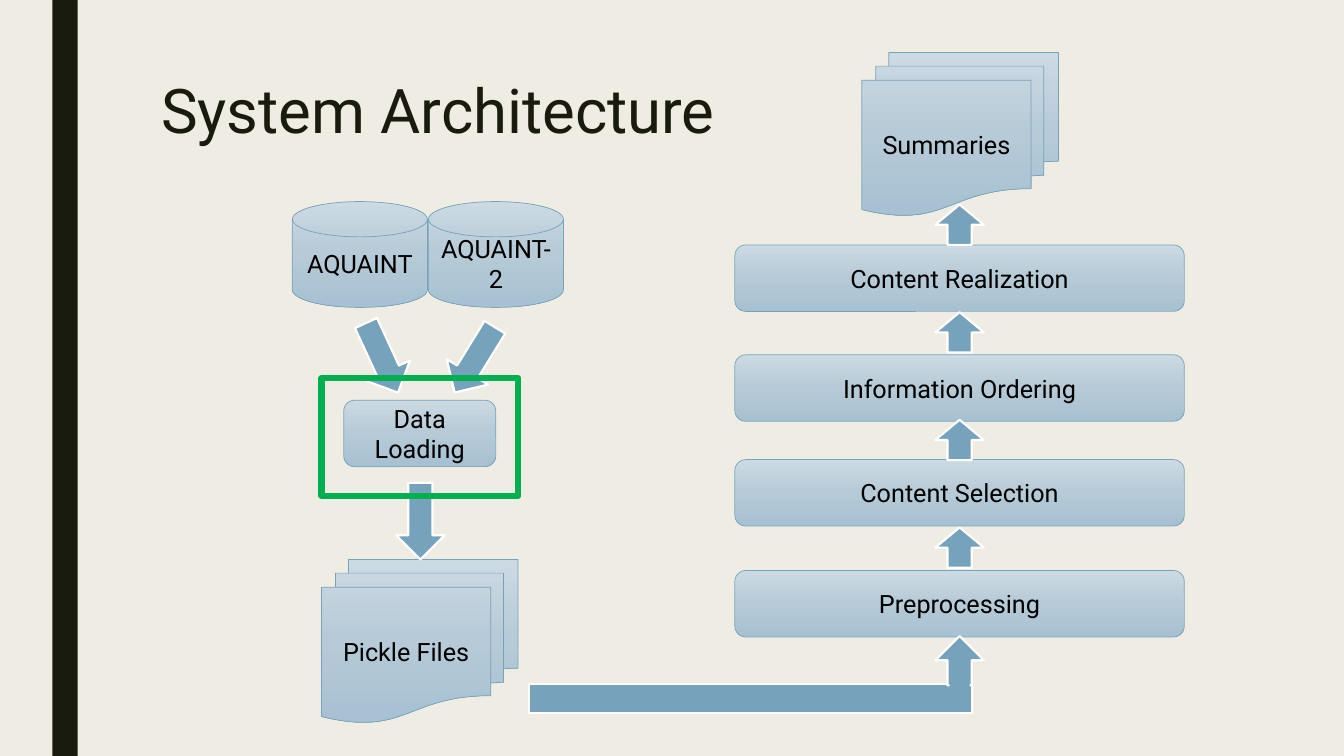
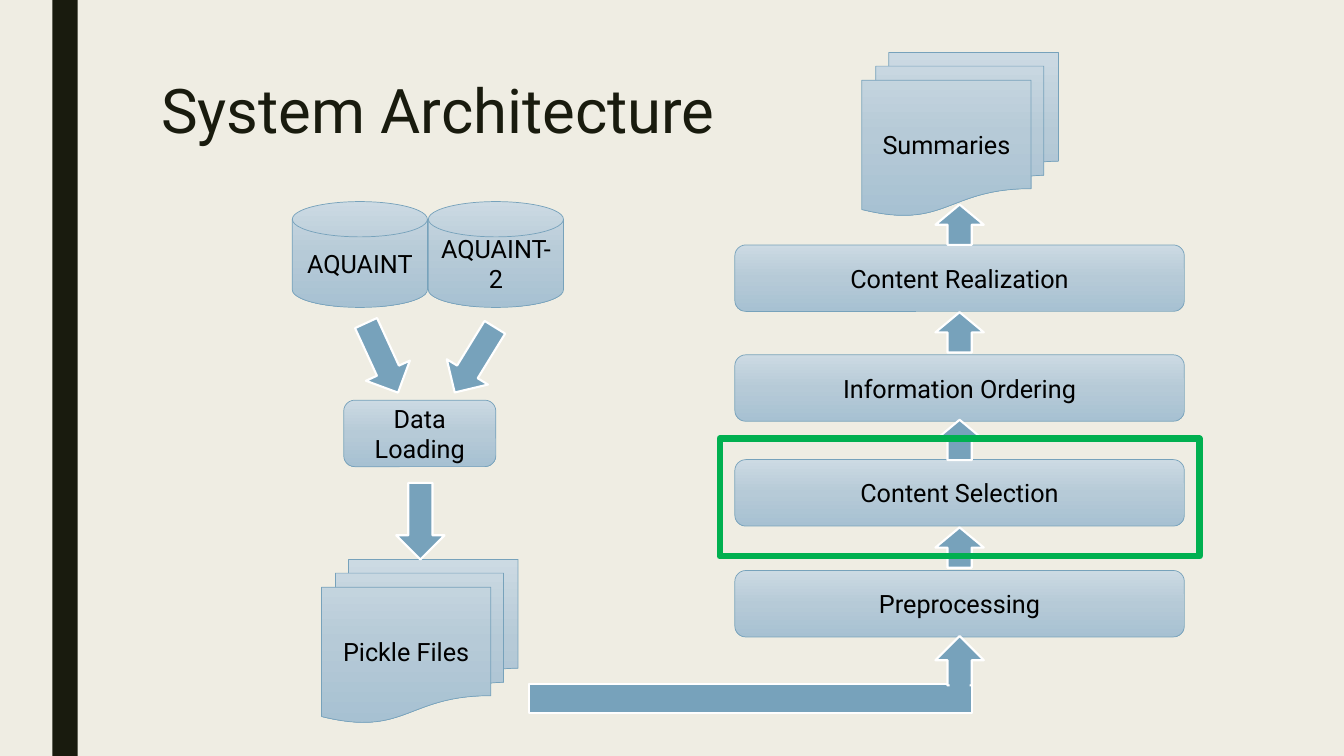
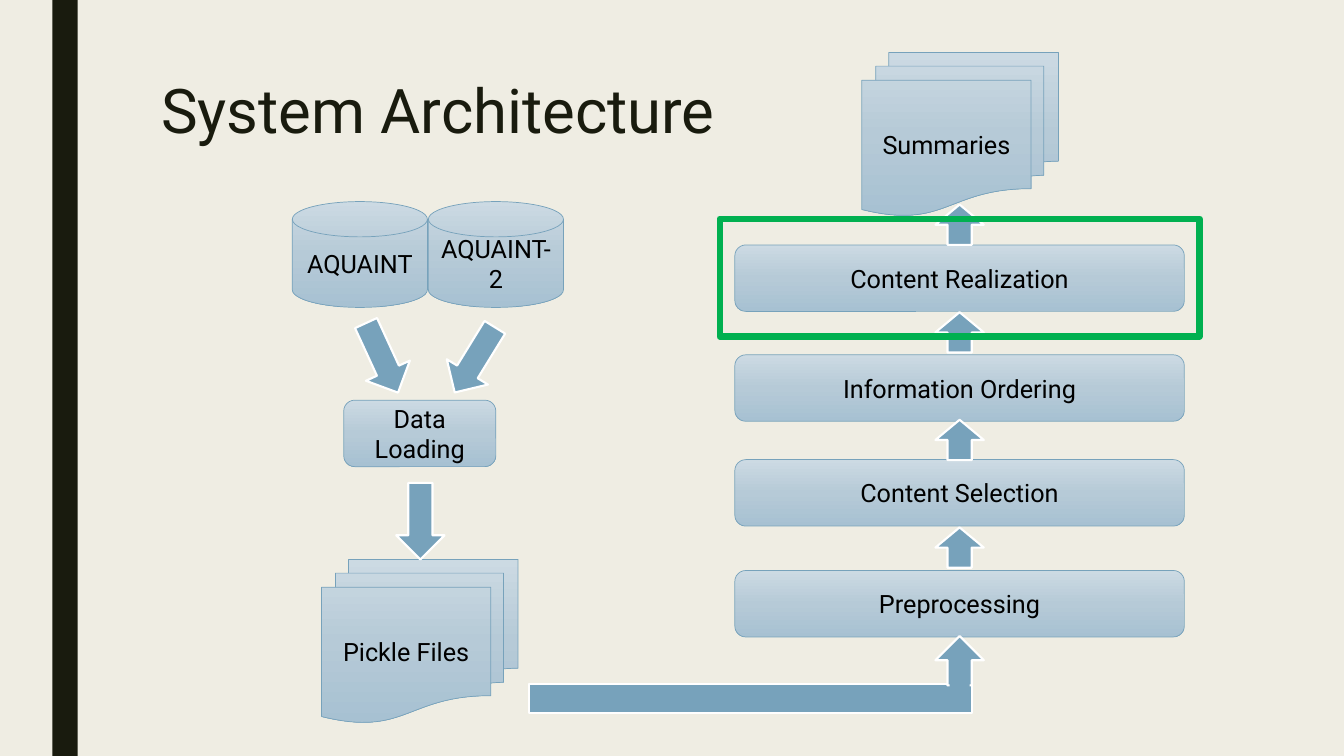
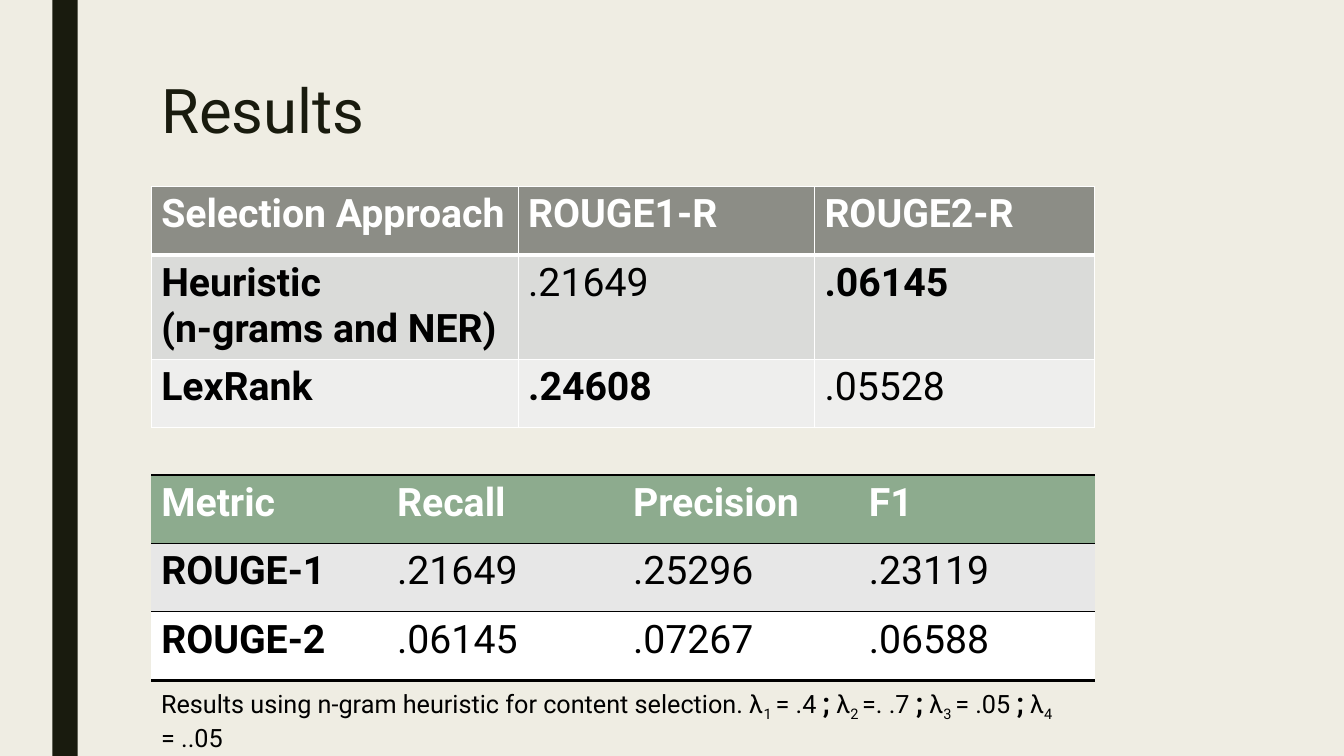
from copy import deepcopy

from pptx import Presentation
from pptx.dml.color import RGBColor
from pptx.enum.shapes import MSO_SHAPE
from pptx.enum.text import MSO_ANCHOR, PP_ALIGN
from pptx.oxml.ns import qn
from pptx.oxml.xmlchemy import OxmlElement
from pptx.util import Inches, Pt

# Shared style
FONT = "Roboto"
PAPER, INK, BLACK, WHITE = "EFEDE3", "191B0E", "000000", "FFFFFF"
STEEL, GREEN = "77A2BB", "00B050"
SHADES = ((0, "CCDAE3"), (0.5, "B6CAD7"), (1, "A7C1D2"))
COLUMNS, ROWS = 40, 30
PLAIN_TABLE = "{2D5ABB26-0587-4C30-8999-92F81FD0307C}"


def colour(code):
    return RGBColor.from_string(code)


class Slides:
    """Holds the deck, its grid and the slide being filled."""

    def __init__(self):
        self.deck = Presentation()
        self.deck.slide_width, self.deck.slide_height = Inches(13.33), Inches(7.5)
        self.column = self.deck.slide_width / COLUMNS
        self.row = self.deck.slide_height / ROWS
        backdrop = self.deck.slide_master.background.fill
        backdrop.solid()
        backdrop.fore_color.rgb = colour(PAPER)

    def place(self, left, top, width, height):
        return (int(left * self.column), int(top * self.row),
                int(width * self.column), int(height * self.row))

    def start(self, title):
        self.page = self.deck.slides.add_slide(self.deck.slide_layouts[6])
        self.shape(MSO_SHAPE.RECTANGLE, (1.56, 0, 0.75, ROWS), INK)
        frame = self.text((4.5, 3, 31.5, 6.48), [(title, {"size": 44, "ink": INK})])
        frame.paragraphs[0].line_spacing = 0.89

    def span(self, para, words, size=18, ink=BLACK, bold=False, baseline=0):
        span = para.add_run()
        span.text = words
        span.font.name, span.font.size, span.font.bold = FONT, Pt(size), bold
        span.font.color.rgb = colour(ink)
        if baseline:
            span.font._element.set("baseline", str(baseline * 1000))

    def text(self, area, spans):
        frame = self.page.shapes.add_textbox(*self.place(*area)).text_frame
        frame.word_wrap = True
        for words, style in spans:
            self.span(frame.paragraphs[0], words, **style)
        return frame

    def shape(self, kind, area, fill=None, line=None, points=0, turn=0):
        box = self.page.shapes.add_shape(kind, *self.place(*area))
        box.shadow.inherit = False
        box.rotation = turn
        if fill:
            box.fill.solid()
            box.fill.fore_color.rgb = colour(fill)
        else:
            box.fill.background()
        if line:
            box.line.color.rgb = colour(line)
            box.line.width = Pt(points)
        else:
            box.line.fill.background()
        return box

    def node(self, kind, area, label):
        box = self.shape(kind, area, line=STEEL, points=0.5)
        box.fill.gradient()
        stops = box._element.spPr.find(qn("a:gradFill")).find(qn("a:gsLst"))
        stops.append(deepcopy(stops[0]))
        for stop, (position, shade) in zip(box.fill.gradient_stops, SHADES):
            stop.position = position
            stop.color.rgb = colour(shade)
        box.fill.gradient_angle = 270
        frame = box.text_frame
        frame.word_wrap = True
        frame.vertical_anchor = MSO_ANCHOR.MIDDLE
        frame.paragraphs[0].alignment = PP_ALIGN.CENTER
        self.span(frame.paragraphs[0], label)

    def arrow(self, left, top, height, turn=0):
        self.shape(MSO_SHAPE.UP_ARROW, (left, top, 1.44, height), STEEL, WHITE, 1.5, turn)

    def highlight(self, left, top, width):
        self.shape(MSO_SHAPE.RECTANGLE, (left, top, width, 4.68), None, GREEN, 4.5)

    def edges(self, cell, sides):
        properties = cell._tc.get_or_add_tcPr()
        for side in "LRTB":
            if side not in sides:
                continue
            code, points = sides[side]
            line = OxmlElement("a:ln" + side)
            line.set("w", str(Pt(points)))
            fill = OxmlElement("a:solidFill")
            tint = OxmlElement("a:srgbClr")
            tint.set("val", code)
            fill.append(tint)
            line.append(fill)
            properties.append(line)

    def table(self, left, top, widths, heights, texts, fills, edges, bold=()):
        area = self.place(left, top, sum(widths), sum(heights))
        grid = self.page.shapes.add_table(len(heights), len(widths), *area).table
        grid._tbl.tblPr.find(qn("a:tableStyleId")).text = PLAIN_TABLE
        grid.first_row = grid.horz_banding = False
        for column, width in zip(grid.columns, widths):
            column.width = int(width * self.column)
        for r, height in enumerate(heights):
            grid.rows[r].height = int(height * self.row)
            for c, words in enumerate(texts[r]):
                cell = grid.cell(r, c)
                self.edges(cell, edges[r])
                cell.fill.solid()
                cell.fill.fore_color.rgb = colour(fills[r])
                strong = r == 0 or c == 0 or (r, c) in bold
                for i, part in enumerate(words.split("\n")):
                    frame = cell.text_frame
                    para = frame.add_paragraph() if i else frame.paragraphs[0]
                    self.span(para, part, 28, BLACK if r else WHITE, strong)


def architecture(slides, focus):
    slides.start("System Architecture")

    # Sources, loading step and stored files
    for i, corpus in enumerate(("AQUAINT", "AQUAINT-2")):
        slides.node(MSO_SHAPE.FLOWCHART_MAGNETIC_DISK, (8.7 + 4.05 * i, 8, 4.02, 4.2), corpus)
    slides.node(MSO_SHAPE.ROUNDED_RECTANGLE, (10.23, 15.88, 4.53, 2.64), "Data Loading")
    for left, top, label in ((9.57, 22.2, "Pickle Files"), (25.65, 2.08, "Summaries")):
        slides.node(MSO_SHAPE.FLOWCHART_MULTIDOCUMENT, (left, top, 5.85, 6.48), label)

    # Processing stages, from last to first
    stages = ((9.72, "Content Realization"), (14.08, "Information Ordering"),
              (18.24, "Content Selection"), (22.64, "Preprocessing"))
    for top, label in stages:
        slides.node(MSO_SHAPE.ROUNDED_RECTANGLE, (21.87, top, 13.38, 2.64), label)

    # Arrows
    for i in range(len(stages)):
        slides.arrow(27.84, 8.12 + 4.27 * i, 1.6)
    for left, top, turn in ((10.65, 12.68, 155.3), (13.41, 12.76, 211.6), (11.79, 19.16, 180)):
        slides.arrow(left, top, 3.04, turn)

    # Elbow from the files to the first stage
    slides.shape(MSO_SHAPE.RECTANGLE, (15.75, 27.16, 13.17, 1.12), STEEL, WHITE, 1.5)
    slides.arrow(27.84, 25.24, 1.96)
    slides.shape(MSO_SHAPE.RECTANGLE, (28.26, 26.8, 0.6, 1.28), STEEL)

    slides.highlight(*focus)


def results(slides):
    slides.start("Results")

    # Scores by metric
    thick, thin = (BLACK, 2), (BLACK, 1)
    slides.table(
        4.5, 18.84, [7.02] * 4, [2.72] * 3,
        (("Metric", "Recall", "Precision", "F1"),
         ("ROUGE-1", ".21649", ".25296", ".23119"),
         ("ROUGE-2", ".06145", ".07267", ".06588")),
        ("8DAB8E", "E7E7E7", WHITE),
        ({"T": thick, "B": thin}, {"T": thin}, {"B": thick}))

    # Scores by selection approach
    white, heavy = dict.fromkeys("LRTB", (WHITE, 1)), (WHITE, 3)
    slides.table(
        4.5, 7.4, (10.92, 8.82, 8.34), (2.72, 4.04, 2.72),
        (("Selection Approach", "ROUGE1-R", "ROUGE2-R"),
         ("Heuristic \n(n-grams and NER)", ".21649", ".06145"),
         ("LexRank", ".24608", ".05528")),
        ("8C8D86", "DADBD9", "EEEEED"),
        ({**white, "B": heavy}, {**white, "T": heavy}, white),
        bold={(1, 2), (2, 1)})

    # Caption with the weights
    caption = [("Results using n-gram heuristic for content selection.", {})]
    for i, weight in enumerate(("= .4 ", "=. .7 ", "= .05 ", "= ..05 "), 1):
        if i > 1:
            caption.append((";", {"size": 20, "bold": True}))
        caption += [(" λ", {}), (f"{i} ", {"baseline": -25}), (weight, {})]
    slides.text((4.5, 27, 28.08, 1.76), caption)


slides = Slides()
for focus in ((9.57, 15, 5.85), (21.42, 17.4, 14.28), (21.42, 8.68, 14.28)):
    architecture(slides, focus)
results(slides)
slides.deck.save("out.pptx")
